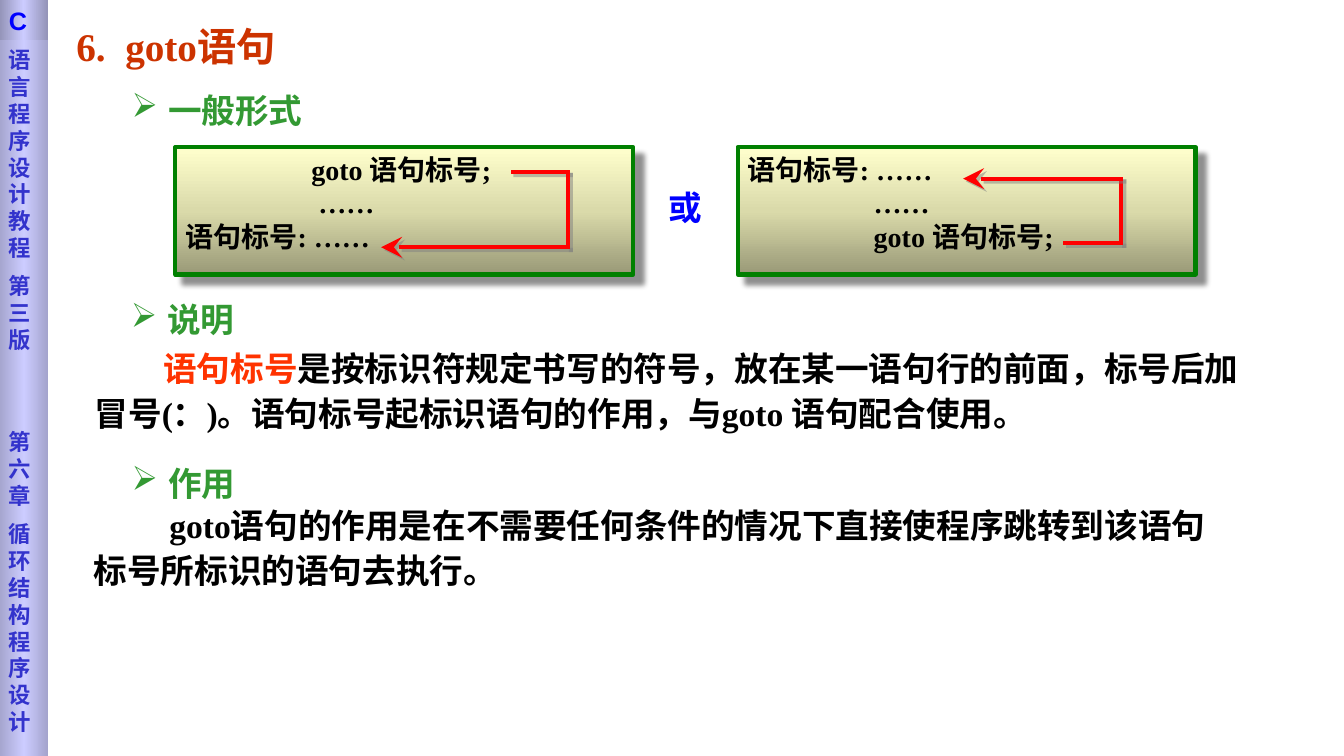
from itertools import pairwise

from lxml.etree import SubElement
from pptx import Presentation
from pptx.dml.color import RGBColor
from pptx.enum.shapes import MSO_CONNECTOR, MSO_SHAPE
from pptx.enum.text import MSO_ANCHOR, PP_ALIGN
from pptx.oxml.ns import qn
from pptx.util import Pt

COLORS = {
    "title": "CC3300", "heading": "339933", "text": "000000", "term": "FF3300",
    "or": "0000FF", "frame": "008000", "arrow": "FF0000", "arrow_shadow": "808080",
    "sidebar_text": "3333CC", "letter": "0000FF",
}
GRADIENTS = {
    "code": ("999977", "DADAAA", "FFFFCD"),
    "sidebar": ("A4A4CD", "CCCCFF", "A4A4CD"),
    "letter": ("9292B6", "CCCCFF", "9292B6"),
}


def rgb(name):
    return RGBColor.from_string(COLORS[name])


def style_font(font, color, size, name="Times New Roman"):
    for attribute, value in {"name": name, "size": Pt(size), "bold": True}.items():
        setattr(font, attribute, value)
    font.color.rgb = rgb(color)


def set_indent(paragraph, left, first=0):
    properties = paragraph._p.get_or_add_pPr()
    properties.set("marL", str(Pt(left)))
    properties.set("indent", str(Pt(first)))
    return properties


def add_text_box(slide, box, runs, size):
    """Add a one-paragraph text box; runs are (text, color) pairs."""
    frame = slide.shapes.add_textbox(*map(Pt, box)).text_frame
    frame.word_wrap = True
    paragraph = frame.paragraphs[0]
    for text, color in runs:
        run = paragraph.add_run()
        run.text = text
        style_font(run.font, color, size)
    return paragraph


def add_shadow(shape, color, opacity, blur, distance):
    properties = shape._element.spPr
    effects = properties.find(qn("a:effectLst"))
    if effects is None:
        effects = SubElement(properties, qn("a:effectLst"))
    shadow = SubElement(effects, qn("a:outerShdw"), blurRad=str(Pt(blur)),
                        dist=str(Pt(distance)), dir="2700000", algn="ctr", rotWithShape="0")
    tint = SubElement(shadow, qn("a:srgbClr"), val=COLORS[color])
    SubElement(tint, qn("a:alpha"), val=str(opacity * 1000))


def add_gradient_rectangle(slide, box, gradient, angle):
    shape = slide.shapes.add_shape(MSO_SHAPE.RECTANGLE, *map(Pt, box))
    shape.shadow.inherit = False
    shape.line.fill.background()
    shape.fill.gradient()
    shape.fill.gradient_angle = angle
    stops = shape._element.spPr.find(qn("a:gradFill")).find(qn("a:gsLst"))
    stops.clear()
    for position, color in zip((0, 50000, 100000), GRADIENTS[gradient]):
        stop = SubElement(stops, qn("a:gs"), pos=str(position))
        SubElement(stop, qn("a:srgbClr"), val=color)
    shape.text_frame.vertical_anchor = MSO_ANCHOR.TOP
    return shape


def add_heading(slide, box, text):
    paragraph = add_text_box(slide, box, [(text, "heading")], 24)
    properties = set_indent(paragraph, 26, -26)
    SubElement(properties, qn("a:buChar"), char="➢")


def add_body(slide, box, runs, first_indent):
    paragraph = add_text_box(slide, box, runs, 24)
    set_indent(paragraph, 0, first_indent)
    paragraph.line_spacing = Pt(32)


def add_jump_arrow(slide, box, route):
    """Join the route's points, given relative to the box, and end in an arrowhead."""
    left, top = box[:2]
    points = [(Pt(left + x), Pt(top + y)) for x, y in route]
    for start, end in pairwise(points):
        connector = slide.shapes.add_connector(MSO_CONNECTOR.STRAIGHT, *start, *end)
        connector.line.width = Pt(3)
        connector.line.color.rgb = rgb("arrow")
        line = connector.line._get_or_add_ln()
        line.set("cap", "sq")
        if end == points[-1]:
            SubElement(line, qn("a:tailEnd"), type="stealth", w="lg", len="lg")
        add_shadow(connector, "arrow_shadow", 50, 0, 2.8)


def add_code_box(slide, box, lines, route):
    """Add a framed box of (text, indent) lines with its jump arrow."""
    shape = add_gradient_rectangle(slide, box, "code", 90)
    shape.line.color.rgb = rgb("frame")
    shape.line.width = Pt(3)
    add_shadow(shape, "text", 43, 4, 8.4)
    frame = shape.text_frame
    for index, (text, indent) in enumerate(lines):
        paragraph = frame.add_paragraph() if index else frame.paragraphs[0]
        paragraph.text = text
        paragraph.alignment = PP_ALIGN.JUSTIFY
        set_indent(paragraph, indent)
        style_font(paragraph.runs[0].font, "text", 20)
    add_jump_arrow(slide, box, route)


def add_sidebar(slide, box):
    left, top, width, _ = box
    # Book and chapter titles, one character a line
    frame = add_gradient_rectangle(slide, box, "sidebar", 0).text_frame
    frame.margin_top = Pt(33)
    titles = (("语言程序设计教程", 0), ("第三版", 8), ("第六章", 54), ("循环结构程序设计", 8))
    for index, (text, space) in enumerate(titles):
        paragraph = frame.add_paragraph() if index else frame.paragraphs[0]
        paragraph.text = text
        paragraph.alignment = PP_ALIGN.LEFT
        paragraph.space_before = Pt(space)
        style_font(paragraph.runs[0].font, "sidebar_text", 16, "DejaVu Sans")
    # Letter at the top
    letter_box = (left, top, width, 28.8)
    paragraph = add_gradient_rectangle(slide, letter_box, "letter", 0).text_frame.paragraphs[0]
    paragraph.text = "C"
    paragraph.alignment = PP_ALIGN.LEFT
    style_font(paragraph.runs[0].font, "letter", 18, "Arial")


def add_general_form(slide, box):
    left, top, width, height = box
    code_width = 327
    add_code_box(
        slide, (left, top, code_width, height),
        [("goto 语句标号;", 90), ("……", 95), ("语句标号: ……", 0)],
        [(241, 18), (280.5, 18), (280.5, 71.5), (147, 71.5)])
    add_text_box(slide, (left + 345, top + 25, 34, 36), [("或", "or")], 24)
    add_code_box(
        slide, (left + width - code_width, top, code_width, height),
        [("语句标号: ……", 0), ("……", 90), ("goto 语句标号;", 90)],
        [(234, 68.5), (274, 68.5), (274, 22.5), (161, 22.5)])


def build_goto_slide(presentation):
    slide = presentation.slides.add_slide(presentation.slide_layouts[6])
    # Title
    title = add_text_box(slide, (47.5, 12.2, 200, 41), [("6.  goto语句", "title")], 28)
    title.alignment = PP_ALIGN.LEFT
    # General form
    add_heading(slide, (87, 60.5, 170, 36), "一般形式")
    add_general_form(slide, (125.3, 105.1, 728.7, 91))
    # Explanation
    add_heading(slide, (86.4, 210.2, 170, 36), "说明")
    add_body(slide, (60.5, 241.9, 833.8, 69), [
        ("语句标号", "term"),
        ("是按标识符规定书写的符号，放在某一语句行的前面，标号后加冒号(：)。"
         "语句标号起标识语句的作用，与goto 语句配合使用。", "text")], 49)
    # Purpose
    add_heading(slide, (87, 326.9, 170, 36), "作用")
    add_body(slide, (59.8, 354.2, 812.9, 69), [
        ("goto语句的作用是在不需要任何条件的情况下直接使程序跳转到该"
         "语句标号所标识的语句去执行。", "text")], 54)
    # Sidebar
    add_sidebar(slide, (-0.7, 0, 35.3, 540))


def main():
    presentation = Presentation()
    presentation.slide_width, presentation.slide_height = Pt(960), Pt(540)
    build_goto_slide(presentation)
    presentation.save("out.pptx")


if __name__ == "__main__":
    main()
